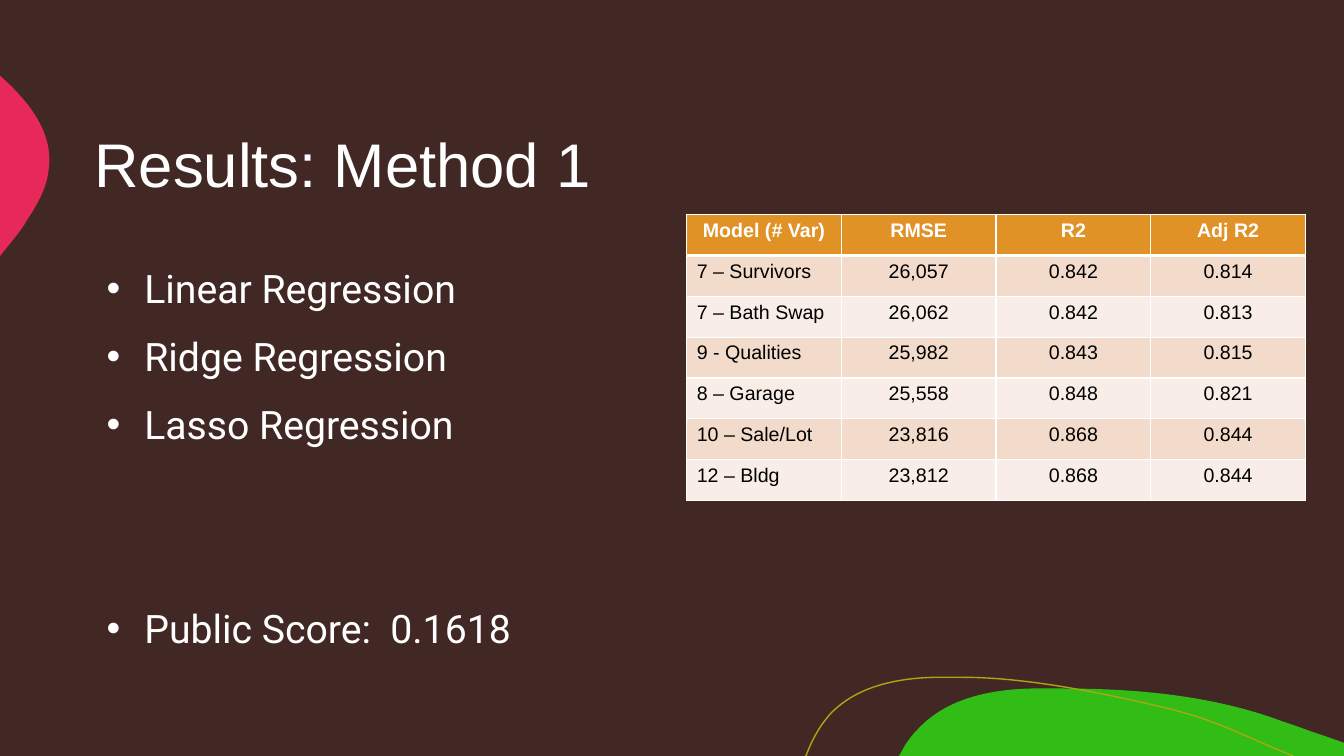
import lxml.etree
import pptx
import pptx.dml.color
import pptx.enum.text
import pptx.oxml.ns
import pptx.util

Pt = pptx.util.Pt
RGBColor = pptx.dml.color.RGBColor
qn = pptx.oxml.ns.qn
CENTER = pptx.enum.text.PP_ALIGN.CENTER
LEFT = pptx.enum.text.PP_ALIGN.LEFT

BROWN = RGBColor(0x41, 0x28, 0x24)
GREEN = RGBColor(0x31, 0xBD, 0x15)
PINK = RGBColor(0xE7, 0x29, 0x59)
OLIVE = RGBColor(0xA9, 0xA8, 0x12)
ORANGE = RGBColor(0xE0, 0x92, 0x27)
PEACH = RGBColor(0xF3, 0xDB, 0xCB)
CREAM = RGBColor(0xF9, 0xEE, 0xE7)
WHITE = RGBColor(0xFF, 0xFF, 0xFF)
BLACK = RGBColor(0, 0, 0)


def write(paragraph, text, font="Arial", size=14, color=WHITE, bold=False,
          align=LEFT, spacing=1.0, before=0):
    paragraph.alignment = align
    paragraph.line_spacing = spacing
    paragraph.space_before = Pt(before)
    run = paragraph.add_run()
    run.text = text
    run.font.name = font
    run.font.size = Pt(size)
    run.font.bold = bold
    run.font.color.rgb = color


def add_blob(start, segments, closed):
    """Draw an outline; a pair is a line end, six numbers are a cubic curve."""
    builder = slide.shapes.build_freeform(Pt(start[0]), Pt(start[1]))
    builder.add_line_segments(
        [(Pt(segment[-2]), Pt(segment[-1])) for segment in segments], close=closed)
    blob = builder.convert_to_shape()
    blob.shadow.inherit = False
    for side, segment in zip(list(blob._element.iter(qn("a:lnTo"))), segments):
        if len(segment) == 6:
            curve = lxml.etree.Element(qn("a:cubicBezTo"))
            for x, y in zip(segment[::2], segment[1::2]):
                lxml.etree.SubElement(curve, qn("a:pt"), x=str(Pt(x) - blob.left),
                                      y=str(Pt(y) - blob.top))
            side.getparent().replace(side, curve)
    return blob


deck = pptx.Presentation()
deck.slide_width = Pt(960)
deck.slide_height = Pt(540)
slide = deck.slides.add_slide(deck.slide_layouts[6])
slide.background.fill.solid()
slide.background.fill.fore_color.rgb = BROWN

# Decorative blobs and curve
green_hill = add_blob((758.9, 491.8), [
    (812.2, 491.8, 866.9, 496.8, 916.6, 515.5),
    (925.9, 518.4, 934.6, 522, 943.9, 524.9),
    (960, 530.6), (960, 540), (642.2, 540), (646.6, 532.1),
    (649.4, 527.8, 652.3, 524.2, 655.9, 520.6),
    (676.1, 499, 707, 492.5, 736.6, 491.8),
    (743.8, 491.8, 751, 491.8, 758.9, 491.8)], closed=True)
pink_edge = add_blob((0, 54), [
    (0.7, 54.7),
    (21.6, 73.4, 38.9, 95.8, 34.6, 122.4),
    (33.1, 134.6, 26.6, 146.2, 19.4, 157),
    (17.3, 161.3, 12.2, 167.8, 5.8, 175.7),
    (0, 182.9)], closed=True)
for blob, color in ((green_hill, GREEN), (pink_edge, PINK)):
    blob.fill.solid()
    blob.fill.fore_color.rgb = color
    blob.line.fill.background()

olive_curve = add_blob((575.3, 540), [
    (576, 539.3),
    (580.3, 527.8, 586.1, 517.7, 593.3, 509.8),
    (612, 490.3, 640.1, 484.6, 666.7, 483.8),
    (687.6, 483.8),
    (735.8, 483.8, 792, 496.1, 831.6, 505.4),
    (870.5, 514.8, 882.7, 523.4, 923.8, 540)], closed=False)
olive_curve.fill.background()
olive_curve.line.color.rgb = OLIVE
olive_curve.line.width = Pt(1)

# Title
title = slide.shapes.add_textbox(Pt(60.4), Pt(60), Pt(840), Pt(120)).text_frame
title.word_wrap = True
title.vertical_anchor = pptx.enum.text.MSO_ANCHOR.MIDDLE
write(title.paragraphs[0], "Results: Method 1", size=44, spacing=0.9)

# Methods, with the score set apart below them
methods = slide.shapes.add_textbox(Pt(60), Pt(180), Pt(840), Pt(301)).text_frame
methods.word_wrap = True
bullets = [("Linear Regression", 10), ("Ridge Regression", 10),
           ("Lasso Regression", 10), ("Public Score:  0.1618", 107)]
for index, (text, before) in enumerate(bullets):
    paragraph = methods.add_paragraph() if index else methods.paragraphs[0]
    write(paragraph, text, font="Roboto", size=28, spacing=1.15, before=before)
    properties = paragraph._p.get_or_add_pPr()
    properties.set("marL", str(Pt(36)))
    properties.set("indent", str(Pt(-27)))
    bullet_color = lxml.etree.SubElement(properties, qn("a:buClr"))
    lxml.etree.SubElement(bullet_color, qn("a:srgbClr"), val=str(WHITE))
    lxml.etree.SubElement(properties, qn("a:buFont"), typeface="Arial")
    lxml.etree.SubElement(properties, qn("a:buChar"), char="•")

# Model scores
scores = [
    ("Model (# Var)", "RMSE", "R2", "Adj R2"),
    ("7 – Survivors", "26,057", "0.842", "0.814"),
    ("7 – Bath Swap", "26,062", "0.842", "0.813"),
    ("9 - Qualities", "25,982", "0.843", "0.815"),
    ("8 – Garage", "25,558", "0.848", "0.821"),
    ("10 – Sale/Lot", "23,816", "0.868", "0.844"),
    ("12 – Bldg", "23,812", "0.868", "0.844"),
]
column_width, row_height = 110.5, 29.2
score_table = slide.shapes.add_table(
    len(scores), len(scores[0]), Pt(490.5), Pt(153.2),
    Pt(column_width * len(scores[0])), Pt(row_height * len(scores))).table
for column in score_table.columns:
    column.width = Pt(column_width)
for row_index, values in enumerate(scores):
    score_table.rows[row_index].height = Pt(row_height)
    header = row_index == 0
    fill = ORANGE if header else (PEACH if row_index % 2 else CREAM)
    borders = {"a:lnL": 1, "a:lnR": 1, "a:lnT": 3 if row_index == 1 else 1,
               "a:lnB": 3 if header else 1}
    for column_index, value in enumerate(values):
        cell = score_table.cell(row_index, column_index)
        write(cell.text_frame.paragraphs[0], value, bold=header,
              color=WHITE if header else BLACK,
              align=CENTER if header or column_index else LEFT)
        cell_properties = cell._tc.get_or_add_tcPr()
        for side, width in borders.items():
            border = lxml.etree.SubElement(cell_properties, qn(side), w=str(Pt(width)))
            border_fill = lxml.etree.SubElement(border, qn("a:solidFill"))
            lxml.etree.SubElement(border_fill, qn("a:srgbClr"), val=str(WHITE))
        cell.fill.solid()
        cell.fill.fore_color.rgb = fill

deck.save("out.pptx")
